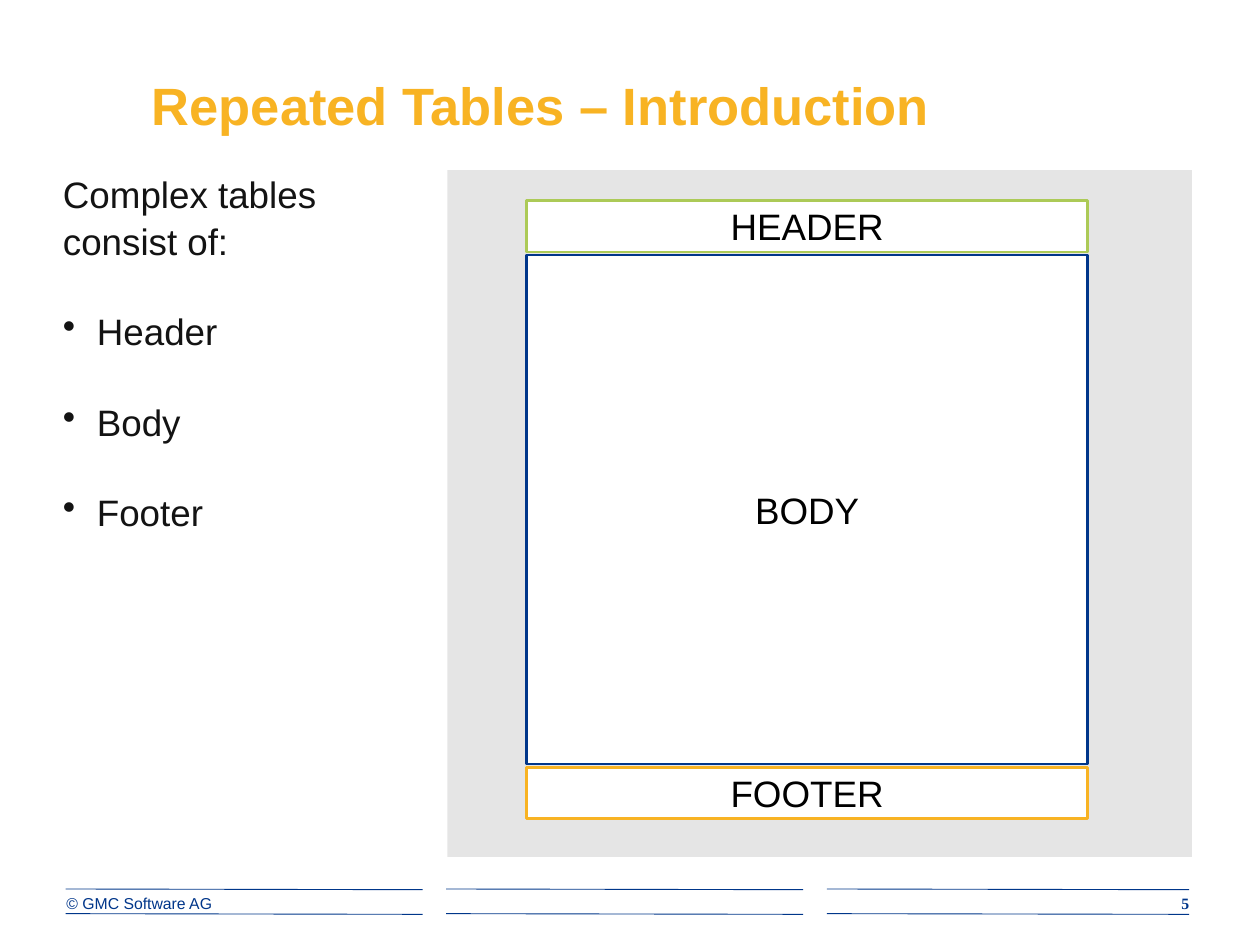
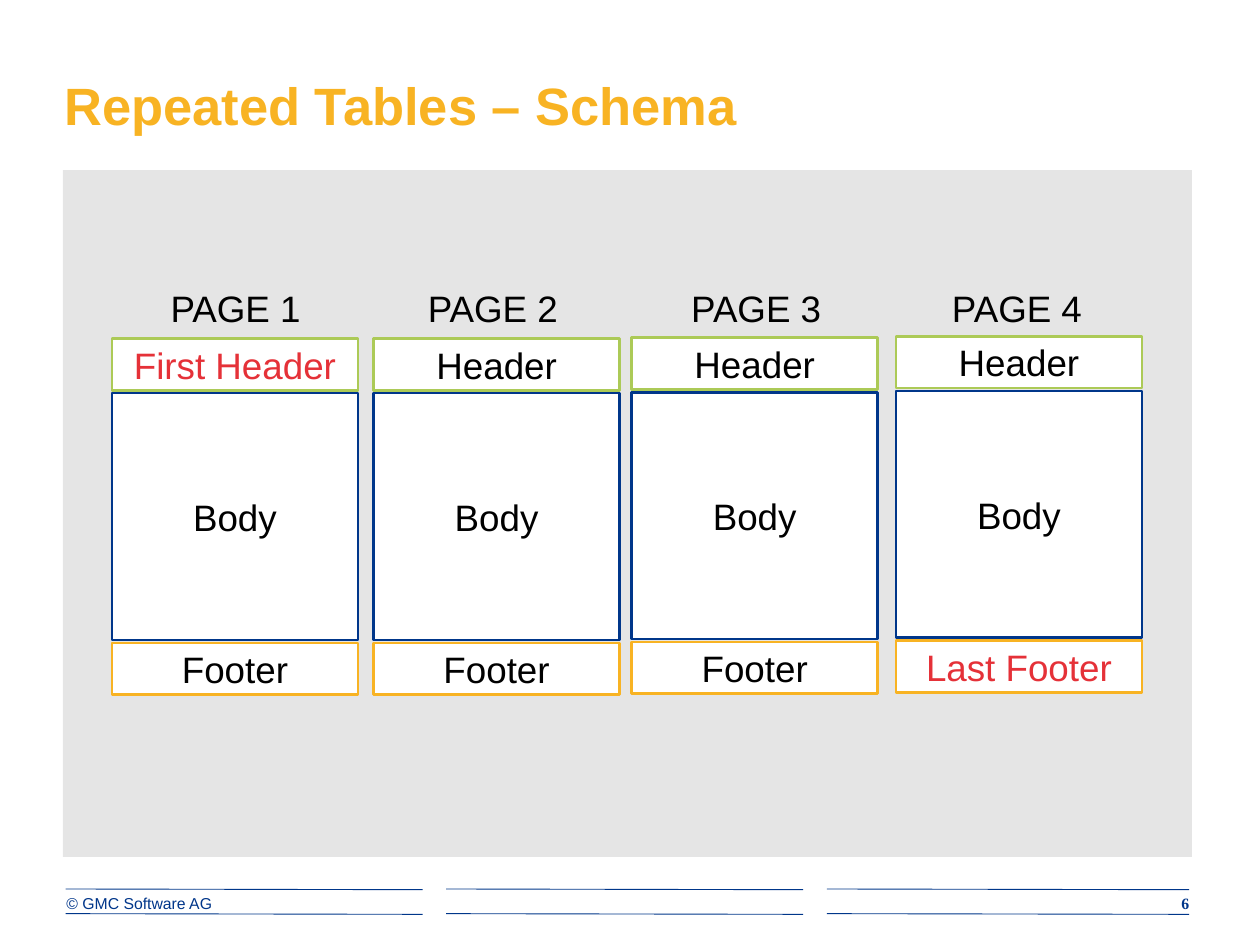
import pptx
import pptx.dml.color
import pptx.enum.shapes
import pptx.enum.text
import pptx.oxml
import pptx.oxml.ns
import pptx.util

Pt = pptx.util.Pt
ALIGN = pptx.enum.text.PP_ALIGN
ANCHOR = pptx.enum.text.MSO_ANCHOR

COLOURS = {
    "navy": "00368A",
    "amber": "F8B323",
    "green": "ACCA57",
    "red": "E53138",
    "ink": "131313",
    "black": "000000",
    "white": "FFFFFF",
}
BODY_SIZE = 21
PANEL_TOP, PANEL_HEIGHT, PANEL_RIGHT = 97.2, 392.4, 681.1
BAND_HEIGHT = 29.5
BAND_GAP = 1.7


def colour(name):
    return pptx.dml.color.RGBColor.from_string(COLOURS[name])


def format_runs(paragraph, size, ink, bold=False, face="Arial"):
    for run in paragraph.runs:
        run.font.name = face
        run.font.size = Pt(size)
        run.font.bold = bold
        run.font.color.rgb = colour(ink)


def set_margins(frame, horizontal=0, vertical=0):
    frame.margin_left = frame.margin_right = Pt(horizontal)
    frame.margin_top = frame.margin_bottom = Pt(vertical)


def add_text(slide, box, text, size, ink, align=ALIGN.LEFT, **font):
    frame = slide.shapes.add_textbox(*map(Pt, box)).text_frame
    frame.word_wrap = True
    set_margins(frame)
    frame.text = text
    frame.paragraphs[0].alignment = align
    format_runs(frame.paragraphs[0], size, ink, **font)
    return frame


def add_rectangle(slide, box, fill):
    rectangle = slide.shapes.add_shape(
        pptx.enum.shapes.MSO_SHAPE.RECTANGLE, *map(Pt, box))
    rectangle.shadow.inherit = False
    rectangle.fill.solid()
    rectangle.fill.fore_color.rgb = colour(fill)
    return rectangle


def add_title(slide, text, indent=0):
    title = slide.shapes.title
    title.left, title.top, title.width, title.height = map(Pt, (36.7, 28.8, 500, 49))
    frame = title.text_frame
    frame.auto_size = pptx.enum.text.MSO_AUTO_SIZE.NONE
    frame.vertical_anchor = ANCHOR.BOTTOM
    set_margins(frame)
    frame.text = text
    paragraph = frame.paragraphs[0]
    paragraph.alignment = ALIGN.LEFT
    paragraph._p.get_or_add_pPr().set("marL", str(Pt(indent)))
    format_runs(paragraph, 30, "amber", bold=True)


def add_rule(slide, left, right, top):
    rule = slide.shapes.add_connector(
        pptx.enum.shapes.MSO_CONNECTOR.STRAIGHT,
        Pt(left), Pt(top), Pt(right), Pt(top + 0.4))
    rule.line.color.rgb = colour("navy")
    rule.line.width = Pt(0.5)
    rule._element.spPr.append(pptx.oxml.parse_xml(
        f"<a:effectLst {pptx.oxml.ns.nsdecls('a')}/>"))


def add_page_footer(slide, number):
    for left, right in ((37.5, 241.5), (255, 459), (472.5, 679.5)):
        for top in (508, 522.1):
            add_rule(slide, left, right, top)
    add_text(slide, (38, 510.5, 202, 14), "© GMC Software AG", 9, "navy")
    add_text(slide, (623.5, 510.5, 56, 14), str(number), 9, "navy",
             ALIGN.RIGHT, bold=True, face="Times New Roman")


def add_panel(slide, left):
    """Light backdrop, from the given left edge to the right margin."""
    panel = add_rectangle(
        slide, (left, PANEL_TOP, PANEL_RIGHT - left, PANEL_HEIGHT), "black")
    panel.line.fill.background()
    tint = panel._element.spPr.find(".//" + pptx.oxml.ns.qn("a:srgbClr"))
    tint.append(pptx.oxml.parse_xml(
        f"<a:alpha {pptx.oxml.ns.nsdecls('a')} val='10000'/>"))


def add_table_sketch(slide, left, top, width, body_height, labels, highlighted=None):
    """Header, body and footer boxes stacked downwards from (left, top)."""
    heights = (BAND_HEIGHT, body_height, BAND_HEIGHT)
    for label, height, outline in zip(labels, heights, ("green", "navy", "amber")):
        part = add_rectangle(slide, (left, top, width, height), "white")
        part.line.color.rgb = colour(outline)
        part.line.width = Pt(1.5)
        frame = part.text_frame
        frame.word_wrap = False
        frame.vertical_anchor = ANCHOR.MIDDLE
        set_margins(frame, 7.2, 3.6)
        frame.text = label
        frame.paragraphs[0].alignment = ALIGN.CENTER
        format_runs(frame.paragraphs[0], BODY_SIZE,
                    "red" if label == highlighted else "black")
        top += height + BAND_GAP


def add_part_list(slide, box, lead, parts):
    frame = add_text(slide, box, lead, BODY_SIZE, "ink")
    frame.paragraphs[0].line_spacing = 1.05
    for part in parts:
        paragraph = frame.add_paragraph()
        paragraph.text = part
        properties = paragraph._p.get_or_add_pPr()
        properties.set("marL", str(Pt(19.4)))
        properties.set("indent", str(-Pt(19.4)))
        properties.append(pptx.oxml.parse_xml(
            f"<a:buChar {pptx.oxml.ns.nsdecls('a')} char='•'/>"))
        paragraph.line_spacing = 1.05
        paragraph.space_before = Pt(25.2)
        format_runs(paragraph, BODY_SIZE, "ink")


def add_page_sketch(slide, number, left, top, label_left, labels, highlighted):
    add_table_sketch(slide, left, top, 140.5, 141, labels, highlighted)
    add_text(slide, (label_left, 163.5, 125.3, 26), f"PAGE {number}",
             BODY_SIZE, "black", ALIGN.CENTER)


def build_introduction(slide):
    add_panel(slide, 255.6)
    add_title(slide, "Repeated Tables – Introduction", indent=50)
    add_part_list(slide, (36, PANEL_TOP, 203.8, 391), "Complex tables consist of:",
                  ("Header", "Body", "Footer"))
    add_table_sketch(slide, 301, 114.5, 320.4, 291, ("HEADER", "BODY", "FOOTER"))


def build_schema(slide):
    add_panel(slide, 36)
    add_title(slide, "Repeated Tables – Schema")
    page_places = ((64, 193.5, 72), (213.5, 193.5, 219),
                   (361, 193, 369.5), (512, 192.2, 518.5))
    last = len(page_places)
    for number, (left, top, label_left) in enumerate(page_places, 1):
        header = "First Header" if number == 1 else "Header"
        footer = "Last Footer" if number == last else "Footer"
        highlighted = {1: header, last: footer}.get(number)
        add_page_sketch(slide, number, left, top, label_left,
                        (header, "Body", footer), highlighted)


def main():
    deck = pptx.Presentation()
    deck.slide_width, deck.slide_height = Pt(720), Pt(540)
    title_only = deck.slide_layouts[5]
    for number, build in enumerate((build_introduction, build_schema), 5):
        slide = deck.slides.add_slide(title_only)
        add_page_footer(slide, number)
        build(slide)
    deck.save("out.pptx")


if __name__ == "__main__":
    main()
